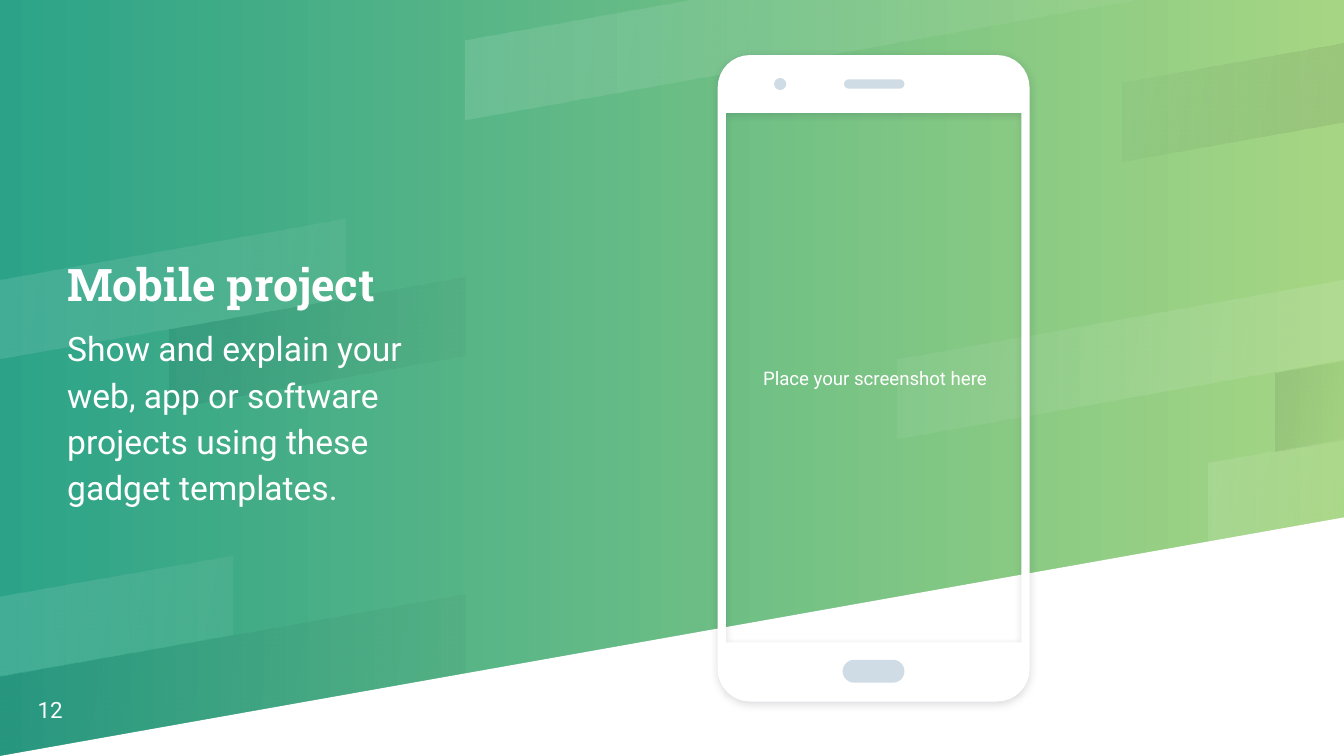
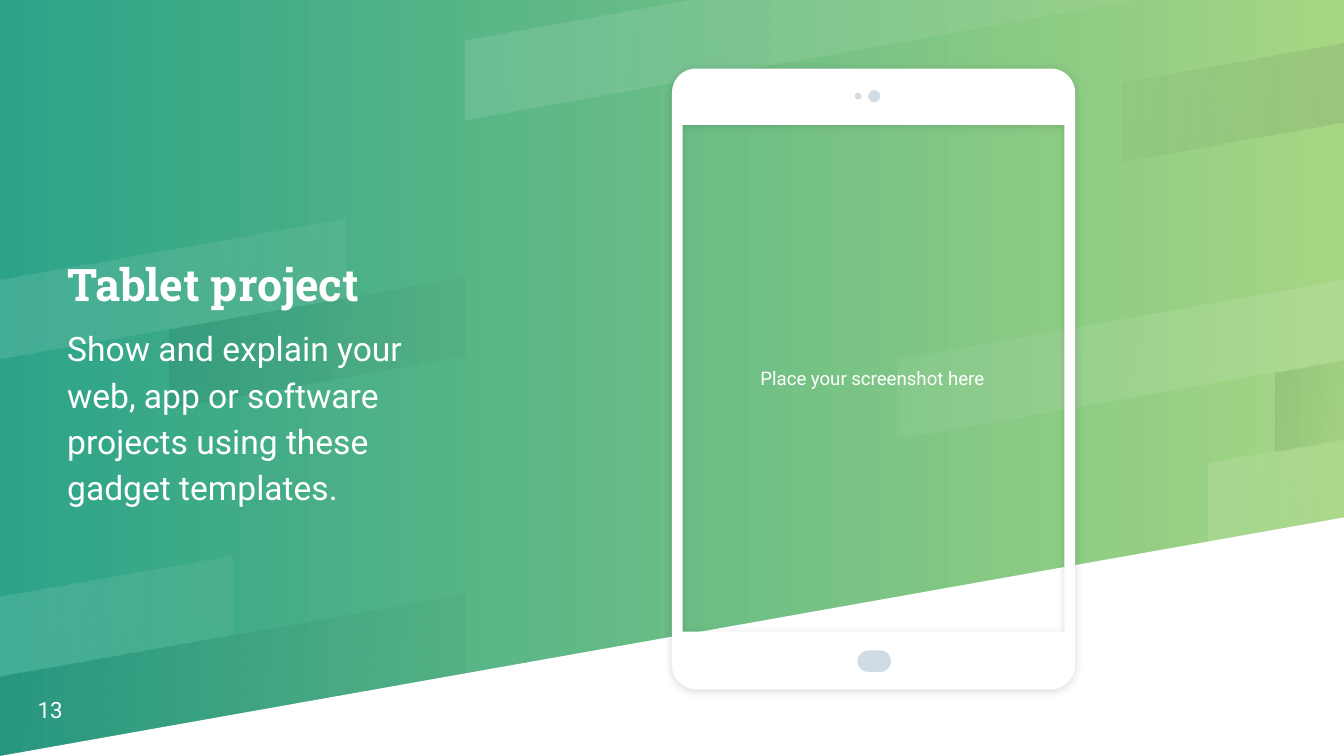
"""Builds two gadget slides: a phone and a tablet over a shared banded backdrop."""
import math

import pptx
import pptx.dml.color
import pptx.enum.shapes
import pptx.enum.text
import pptx.oxml
import pptx.oxml.ns
import pptx.util

Inches = pptx.util.Inches
Pt = pptx.util.Pt
RGBColor = pptx.dml.color.RGBColor
ANCHOR = pptx.enum.text.MSO_ANCHOR
ALIGN = pptx.enum.text.PP_ALIGN
PRESET = pptx.enum.shapes.MSO_SHAPE
qn = pptx.oxml.ns.qn

TEAL = RGBColor(0x2C, 0xA3, 0x88)
LIME = RGBColor(0xA6, 0xD6, 0x83)
WHITE = RGBColor(0xFF, 0xFF, 0xFF)
INK = RGBColor(0x00, 0x00, 0x1A)
BUTTON_GREY = RGBColor(0xCF, 0xDC, 0xE6)

HEADING_FONT = "Roboto Slab"
BODY_FONT = "Roboto"
WIDTH = 10
HEIGHT = WIDTH * 9 / 16
SLOPE = 0.177
BAND_HEIGHT = 0.59
PITCH = "Show and explain your web, app or software projects using these gadget templates."

BANDS = [
    dict(left=3.46, right=8.48, top=0.3, colour=WHITE, opacities=(12, 5)),
    dict(left=0, right=3.46, top=5.03, colour=INK, opacities=(8, 2)),
    dict(left=8.99, right=10, top=3.44, colour=WHITE, opacities=(12, 5)),
    dict(left=0, right=1.73, top=4.44, colour=WHITE, opacities=(12, 5)),
    dict(left=9.49, right=10, top=2.77, colour=INK, opacities=(8, 2)),
    dict(left=6.68, right=10, top=2.67, colour=WHITE, opacities=(5, 12)),
    dict(left=1.26, right=3.46, top=2.45, colour=INK, opacities=(8, 2)),
    dict(left=0, right=2.57, top=2.08, colour=WHITE, opacities=(12, 5)),
    dict(left=8.35, right=10, top=0.61, colour=INK, opacities=(2, 8)),
]


def add_xml(parent, tag, **attributes):
    """Append a drawing element with the given attributes and return it."""
    child = pptx.oxml.parse_xml(f'<a:{tag} {pptx.oxml.ns.nsdecls("a")}/>')
    for key, value in attributes.items():
        child.set(key, str(value))
    parent.append(child)
    return child


def paint(shape, colour):
    """Give a shape a flat fill with no line and no shadow."""
    shape.shadow.inherit = False
    shape.line.fill.background()
    shape.fill.solid()
    shape.fill.fore_color.rgb = colour


def add_outline(shapes, *contours):
    """Draw one freeform from closed contours given in inches."""
    contours = [[(Inches(x), Inches(y)) for x, y in contour] for contour in contours]
    builder = shapes.build_freeform(*contours[0][0])
    builder.add_line_segments(contours[0][1:], close=True)
    for contour in contours[1:]:
        builder.move_to(*contour[0])
        builder.add_line_segments(contour[1:], close=True)
    return builder.convert_to_shape()


def set_gradient(fill, start, end, angle):
    """Set a two-stop linear gradient."""
    fill.gradient()
    fill.gradient_angle = angle
    for stop, colour in zip(fill.gradient_stops, (start, end)):
        stop.color.rgb = colour


def add_band(shapes, left, right, top, colour, opacities):
    """Draw a translucent sloping band, cut off at the top of the slide."""
    drop = (right - left) * SLOPE
    band = add_outline(shapes, [
        (left, top),
        (left, top + BAND_HEIGHT),
        (right, max(0, top + BAND_HEIGHT - drop)),
        (right, max(0, top - drop)),
        (min(right, left + top / SLOPE), max(0, top - drop)),
    ])
    paint(band, colour)
    set_gradient(band.fill, colour, colour, 350)
    for stop, opacity in zip(band.element.iter(qn("a:gs")), opacities):
        add_xml(stop[0], "alpha", val=opacity * 1000)


def build_backdrop(slide):
    """Draw the shared backdrop and hand it to the slide's layout."""
    layout = slide.slide_layout
    set_gradient(layout.background.fill, TEAL, LIME, 0)
    for placeholder in list(layout.placeholders):
        if placeholder.placeholder_format.idx >= 10:
            placeholder.element.getparent().remove(placeholder.element)
    backdrop = slide.shapes.add_group_shape()
    floor = add_outline(backdrop.shapes, [(0, HEIGHT), (WIDTH, HEIGHT), (WIDTH, 3.85)])
    paint(floor, WHITE)
    for band in BANDS:
        add_band(backdrop.shapes, **band)
    layout.shapes.element.append(backdrop.element)


def style_paragraph(paragraph, size, font=BODY_FONT, bold=False):
    """Set white type on a paragraph."""
    paragraph.font.name = font
    paragraph.font.size = Pt(size)
    paragraph.font.bold = bold
    paragraph.font.color.rgb = WHITE


def set_frame(frame, anchor, inset):
    """Set wrapping, anchor and equal insets of a text frame."""
    frame.word_wrap = True
    frame.auto_size = pptx.enum.text.MSO_AUTO_SIZE.NONE
    frame.vertical_anchor = anchor
    frame.margin_left = frame.margin_right = Inches(inset)
    frame.margin_top = frame.margin_bottom = Inches(inset)


def add_label(slide, box, text, size, anchor, inset, align):
    """Add a one-line text box."""
    frame = slide.shapes.add_textbox(*map(Inches, box)).text_frame
    set_frame(frame, anchor, inset)
    line = frame.paragraphs[0]
    line.text = text
    line.alignment = align
    style_paragraph(line, size)


def fill_pitch(slide, heading):
    """Write the heading and its explanation in the body placeholder."""
    title = slide.shapes.title.element
    title.getparent().remove(title)
    body = slide.placeholders[1]
    body.left, body.top, body.width, body.height = map(Inches, (0.5, 0.86, 3, 3.91))
    frame = body.text_frame
    set_frame(frame, ANCHOR.MIDDLE, 0)
    frame.text = f"{heading}\n{PITCH}"
    style_paragraph(frame.paragraphs[0], 24, HEADING_FONT, True)
    style_paragraph(frame.paragraphs[1], 18)
    for paragraph in frame.paragraphs:
        paragraph.line_spacing = 1.15
        paragraph.space_before = Pt(6)
        paragraph.alignment = ALIGN.LEFT
        properties = paragraph._p.get_or_add_pPr()
        properties.set("marL", "0")
        properties.set("indent", "0")
        bullet = add_xml(properties, "buNone")
        properties.find(qn("a:defRPr")).addprevious(bullet)


def rounded_contour(left, top, right, bottom, radius, steps=8):
    """Return the points of a rounded rectangle, clockwise from the left edge."""
    corners = [
        (left + radius, top + radius, 180),
        (right - radius, top + radius, 270),
        (right - radius, bottom - radius, 0),
        (left + radius, bottom - radius, 90),
    ]
    points = []
    for x, y, start in corners:
        for step in range(steps + 1):
            angle = math.radians(start + 90 * step / steps)
            points.append((x + radius * math.cos(angle), y + radius * math.sin(angle)))
    return points


def add_device(slide, case, radius, screen, buttons):
    """Draw a device case with an open screen and its grey buttons."""
    left, top, right, bottom = screen
    device = slide.shapes.add_group_shape()
    opening = [(left, top), (left, bottom), (right, bottom), (right, top)]
    frame = add_outline(device.shapes, opening, rounded_contour(*case, radius))
    paint(frame, WHITE)
    effects = frame.element.spPr.find(qn("a:effectLst"))
    shadow = add_xml(effects, "outerShdw", blurRad=Pt(4.5), dist=Pt(0.8), dir=5400000,
                     algn="bl", rotWithShape=0)
    add_xml(add_xml(shadow, "srgbClr", val=INK), "alpha", val=15000)
    for box in buttons:
        button = device.shapes.add_shape(PRESET.ROUNDED_RECTANGLE, *map(Inches, box))
        button.adjustments[0] = 0.5
        paint(button, BUTTON_GREY)


def build_slide(slide, number, heading, screenshot, device):
    """Fill one gadget slide."""
    fill_pitch(slide, heading)
    add_label(slide, screenshot, "Place your screenshot here", 10,
              ANCHOR.MIDDLE, 0.1, ALIGN.CENTER)
    add_label(slide, (0.28, 5.11, 0.53, 0.27), str(number), 12,
              ANCHOR.BOTTOM, 0, ALIGN.LEFT)
    add_device(slide, **device)


def main():
    """Build and save the deck."""
    deck = pptx.Presentation()
    deck.slide_width, deck.slide_height = Inches(WIDTH), Inches(HEIGHT)
    layout = deck.slide_layouts[1]

    phone = dict(
        case=(5.34, 0.41, 7.66, 5.22), radius=0.24, screen=(5.4, 0.84, 7.6, 4.78),
        buttons=[(6.27, 4.91, 0.46, 0.17), (5.76, 0.58, 0.09, 0.09), (6.28, 0.59, 0.45, 0.07)])
    tablet = dict(
        case=(5, 0.51, 8, 5.13), radius=0.18, screen=(5.08, 0.93, 7.92, 4.7),
        buttons=[(6.38, 4.84, 0.25, 0.16), (6.36, 0.69, 0.05, 0.05), (6.46, 0.67, 0.09, 0.09)])

    phone_slide = deck.slides.add_slide(layout)
    build_backdrop(phone_slide)
    build_slide(phone_slide, 12, "Mobile project", (5.41, 0.86, 2.2, 3.91), phone)
    tablet_slide = deck.slides.add_slide(layout)
    build_slide(tablet_slide, 13, "Tablet project", (5.07, 0.93, 2.84, 3.76), tablet)
    deck.save("out.pptx")


if __name__ == "__main__":
    main()
